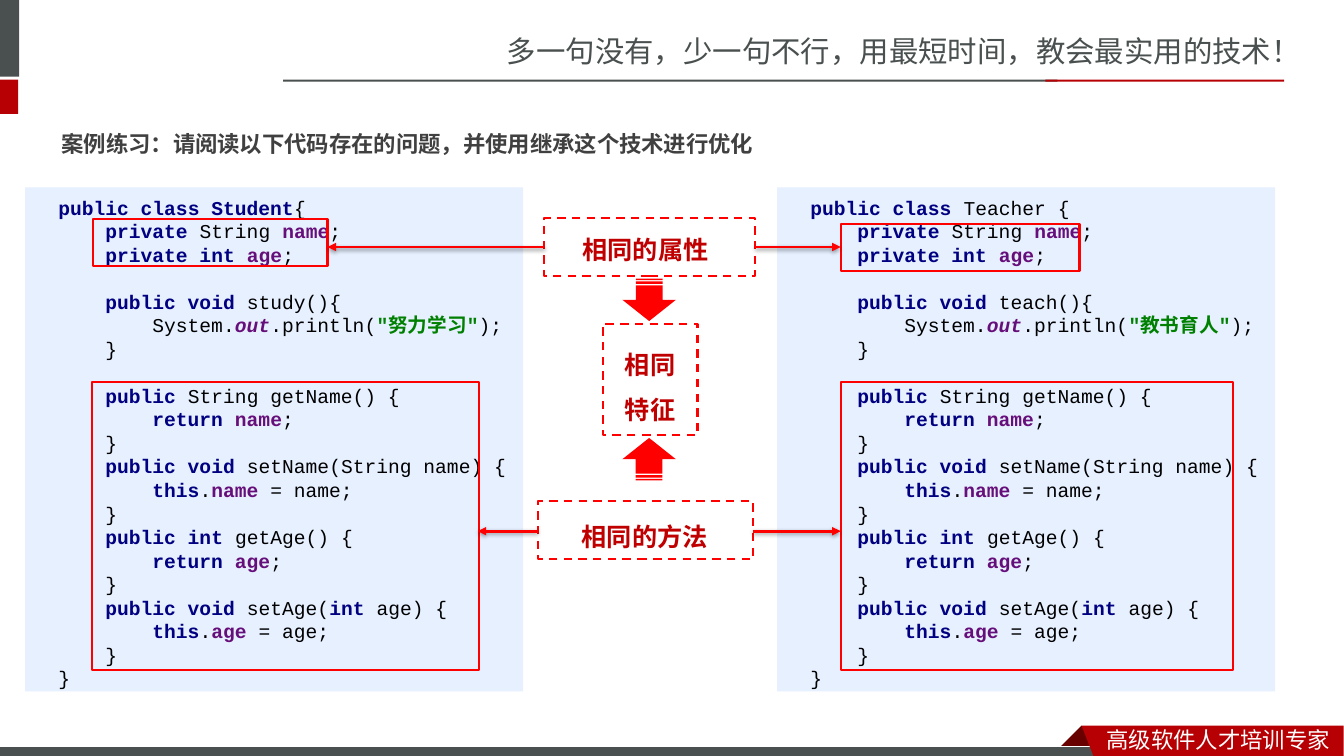
from dataclasses import dataclass

import pptx
import pptx.dml.color
import pptx.enum.dml
import pptx.enum.shapes
import pptx.enum.text
import pptx.util
from lxml import etree
from pptx.oxml.ns import qn

Pt = pptx.util.Pt
RGBColor = pptx.dml.color.RGBColor
Shape = pptx.enum.shapes.MSO_SHAPE
Align = pptx.enum.text.PP_ALIGN
Anchor = pptx.enum.text.MSO_ANCHOR

WHITE = RGBColor(0xFF, 0xFF, 0xFF)
BLACK = RGBColor(0, 0, 0)
SLATE = RGBColor(0x49, 0x50, 0x4F)
CRIMSON = RGBColor(0xB6, 0x00, 0x04)
MAROON = RGBColor(0x68, 0x00, 0x00)
RED = RGBColor(0xFF, 0, 0)
LABEL_RED = RGBColor(0xC0, 0, 0)
CHARCOAL = RGBColor(0x40, 0x40, 0x40)
PALE_BLUE = RGBColor(0xE6, 0xF0, 0xFF)
NAVY = RGBColor(0, 0, 0x80)
PURPLE = RGBColor(0x66, 0x0E, 0x7A)
GREEN = RGBColor(0, 0x80, 0)

MONO, SANS_SC, SANS_JP = "Courier New", "Noto Sans CJK SC", "Noto Sans CJK JP"
CODE_LINE = 16.8
CODE_INDENT = 33.6  # four characters of 14 pt code
# Code markup: ~k keyword ~, ~f field ~, ~o static field ~, ~s string ~
CODE_COLORS = {"k": NAVY, "f": PURPLE, "o": PURPLE, "s": GREEN}


@dataclass
class Box:
    left: float
    top: float
    width: float
    height: float
    fill: RGBColor | None = None
    line: RGBColor | None = None
    weight: float = 1.5
    dashed: bool = False
    preset: Shape = Shape.RECTANGLE
    rotation: float = 0


@dataclass
class Label:
    text: str
    left: float
    top: float
    width: float
    height: float
    size: float
    font: str
    color: RGBColor
    bold: bool = False
    align: Align = Align.LEFT
    spacing: float = 1.0


@dataclass
class Arrow:
    start: float
    end: float
    y: float


@dataclass
class CodePanel:
    left: float
    heading: str
    action: str
    message: str


def add_run(paragraph, text: str, size: float, font: str, color: RGBColor,
            bold: bool = False, italic: bool = False, east_asian: str = "") -> None:
    run = paragraph.add_run()
    run.text = text
    run.font.size, run.font.name = Pt(size), font
    run.font.color.rgb = color
    run.font.bold, run.font.italic = bold, italic
    latin = run.font._element.find(qn("a:latin"))
    ea = etree.Element(qn("a:ea"), typeface=east_asian or font)
    latin.addnext(ea)


def style_fill(shape, fill: RGBColor | None) -> None:
    shape.shadow.inherit = False
    if fill is None:
        shape.fill.background()
    else:
        shape.fill.solid()
        shape.fill.fore_color.rgb = fill
    shape.line.fill.background()


def draw_box(shapes, box: Box):
    shape = shapes.add_shape(box.preset, Pt(box.left), Pt(box.top), Pt(box.width), Pt(box.height))
    style_fill(shape, box.fill)
    shape.rotation = box.rotation
    if box.line is not None:
        shape.line.color.rgb = box.line
        shape.line.width = Pt(box.weight)
    if box.dashed:
        shape.line.dash_style = pptx.enum.dml.MSO_LINE.DASH
    return shape


def draw_outline(shapes, points: list[tuple[float, float]], fill: RGBColor) -> None:
    corners = [(Pt(x), Pt(y)) for x, y in points]
    builder = shapes.build_freeform(*corners[0])
    builder.add_line_segments(corners[1:], close=True)
    style_fill(builder.convert_to_shape(), fill)


def write_label(shape, label: Label, anchor: Anchor = Anchor.TOP) -> None:
    frame = shape.text_frame
    frame.word_wrap, frame.vertical_anchor = True, anchor
    paragraph = frame.paragraphs[0]
    paragraph.alignment, paragraph.line_spacing = label.align, label.spacing
    add_run(paragraph, label.text, label.size, label.font, label.color, label.bold)


def draw_label(shapes, label: Label) -> None:
    write_label(shapes.add_textbox(Pt(label.left), Pt(label.top), Pt(label.width), Pt(label.height)), label)


def class_blocks(panel: CodePanel) -> list[list[tuple[int, str]]]:
    """Blocks of (indent level, marked-up line)."""
    return [
        [(0, panel.heading), (1, "~kprivate ~String ~fname~;"), (1, "~kprivate int ~~fage~;")],
        [(1, f"~kpublic void ~{panel.action}(){{"),
         (2, f'System.~oout~.println(~s"{panel.message}"~);'), (1, "}")],
        [(1, "~kpublic ~String getName() {"), (2, "~kreturn ~~fname~;"), (1, "}"),
         (1, "~kpublic void ~setName(String name) {"), (2, "~kthis~.~fname ~= name;"), (1, "}"),
         (1, "~kpublic int ~getAge() {"), (2, "~kreturn ~~fage~;"), (1, "}"),
         (1, "~kpublic void ~setAge(~kint ~age) {"), (2, "~kthis~.~fage ~= age;"), (1, "}"),
         (0, "}")],
    ]


def draw_code(shapes, panel: CodePanel) -> None:
    group = shapes.add_group_shape().shapes
    draw_box(group, Box(panel.left, 133.92, 355.68, 360, PALE_BLUE))
    listing = group.add_textbox(Pt(panel.left + 16.56), Pt(136.08), Pt(339.12), Pt(363.6)).text_frame
    listing.word_wrap = True
    listing.margin_right = Pt(0)
    paragraph = None
    for block_number, block in enumerate(class_blocks(panel)):
        for line_number, (level, line) in enumerate(block):
            paragraph = listing.add_paragraph() if paragraph else listing.paragraphs[0]
            paragraph.line_spacing = Pt(CODE_LINE)
            if block_number and line_number == 0:
                paragraph.space_before = Pt(CODE_LINE)
            paragraph._p.get_or_add_pPr().set("marL", str(Pt(level * CODE_INDENT)))
            for position, piece in enumerate(line.split("~")):
                if position % 2:
                    add_run(paragraph, piece[1:], 14, MONO, CODE_COLORS[piece[0]],
                            True, piece[0] == "o", SANS_SC)
                elif piece:
                    add_run(paragraph, piece, 14, MONO, BLACK, east_asian=SANS_SC)


def draw_arrow(shapes, arrow: Arrow) -> None:
    connector = shapes.add_connector(pptx.enum.shapes.MSO_CONNECTOR.STRAIGHT,
                                     Pt(arrow.start), Pt(arrow.y), Pt(arrow.end), Pt(arrow.y))
    connector.line.color.rgb = RED
    connector.line.width = Pt(2)
    etree.SubElement(connector.line._get_or_add_ln(), qn("a:tailEnd"), type="triangle")
    effects = etree.SubElement(connector._element.spPr, qn("a:effectLst"))
    shadow = etree.SubElement(effects, qn("a:outerShdw"), blurRad=str(Pt(3.1)), dist=str(Pt(1.6)),
                              dir="5400000", rotWithShape="0")
    tint = etree.SubElement(shadow, qn("a:srgbClr"), val=str(BLACK))
    etree.SubElement(tint, qn("a:alpha"), val="38000")


def main() -> None:
    deck = pptx.Presentation()
    deck.slide_width, deck.slide_height = Pt(960), Pt(540)
    slide = deck.slides.add_slide(deck.slide_layouts[5])
    shapes = slide.shapes

    # Exercise title
    exercise = Label("案例练习：请阅读以下代码存在的问题，并使用继承这个技术进行优化",
                     36.72, 79.92, 815.76, 33.12, 16, SANS_SC, CHARCOAL, True, spacing=1.5)
    title = shapes.title
    title.left, title.top = Pt(exercise.left), Pt(exercise.top)
    title.width, title.height = Pt(exercise.width), Pt(exercise.height)
    title.text_frame.auto_size = pptx.enum.text.MSO_AUTO_SIZE.NONE
    write_label(title, exercise)

    # Header and footer
    draw_label(shapes, Label("多一句没有，少一句不行，用最短时间，教会最实用的技术！",
                             354.96, 20.16, 605.52, 33.84, 21, SANS_SC, SLATE))
    for band in (Box(-4.32, 0, 18, 54.72, SLATE), Box(-4.32, 56.88, 17.28, 24.48, CRIMSON),
                 Box(202.32, 56.88, 552.96, 1.44, SLATE), Box(746.64, 56.88, 170.64, 1.44, CRIMSON)):
        draw_box(shapes, band)
    draw_outline(shapes, [(772.56, 518.4), (788.4, 534.24), (787.68, 534.96),
                          (757.44, 534.96), (756.72, 534.24)], MAROON)
    draw_box(shapes, Box(-0.72, 533.52, 792, 8.64, SLATE, WHITE, 0.75))
    draw_outline(shapes, [(772.56, 518.4), (959.76, 518.4), (959.76, 542.88), (781.92, 542.16)], CRIMSON)
    draw_label(shapes, Label("高级软件人才培训专家", 783.36, 514.8, 176.4, 26.64, 16, SANS_SC, WHITE))

    # Code of the two classes
    for panel in (CodePanel(18, "~kpublic class Student~{", "study", "努力学习"),
                  CodePanel(555.12, "~kpublic class ~Teacher {", "teach", "教书育人")):
        draw_code(shapes, panel)

    # Frames around the shared members
    for frame in (Box(66.24, 156.24, 167.76, 33.84, line=RED), Box(65.52, 272.88, 276.48, 205.92, line=RED),
                  Box(600.48, 159.84, 170.64, 33.84, line=RED), Box(600.48, 272.88, 280.08, 205.92, line=RED)):
        draw_box(shapes, frame)

    # Shared attributes and methods lead to shared features
    draw_label(shapes, Label("相同的属性", 408.96, 153.36, 143.28, 36.72, 18, SANS_JP, LABEL_RED, True, spacing=1.5))
    draw_label(shapes, Label("相同的方法", 388.8, 357.84, 143.28, 36.72, 18, SANS_JP, LABEL_RED, True,
                             Align.CENTER, 1.5))
    draw_box(shapes, Box(388.8, 155.52, 150.48, 41.76, line=RED, dashed=True))
    draw_box(shapes, Box(384.48, 357.84, 153.36, 41.76, line=RED, dashed=True))
    for top, rotation in ((195.12, 90), (308.88, 270)):
        draw_box(shapes, Box(448.56, top, 30.24, 38.16, RED,
                             preset=Shape.STRIPED_RIGHT_ARROW, rotation=rotation))
    features = Label("相同特征", 430.56, 231.12, 67.68, 79.92, 18, SANS_JP, LABEL_RED, True, Align.CENTER, 1.5)
    features_box = draw_box(shapes, Box(features.left, features.top, features.width, features.height,
                                        line=RED, dashed=True))
    write_label(features_box, features, Anchor.MIDDLE)

    # Arrows to the frames
    for arrow in (Arrow(388.8, 234, 176.4), Arrow(539.28, 600.48, 176.4),
                  Arrow(384.48, 341.28, 379.44), Arrow(537.84, 600.48, 379.44)):
        draw_arrow(shapes, arrow)

    deck.save("out.pptx")


if __name__ == "__main__":
    main()
